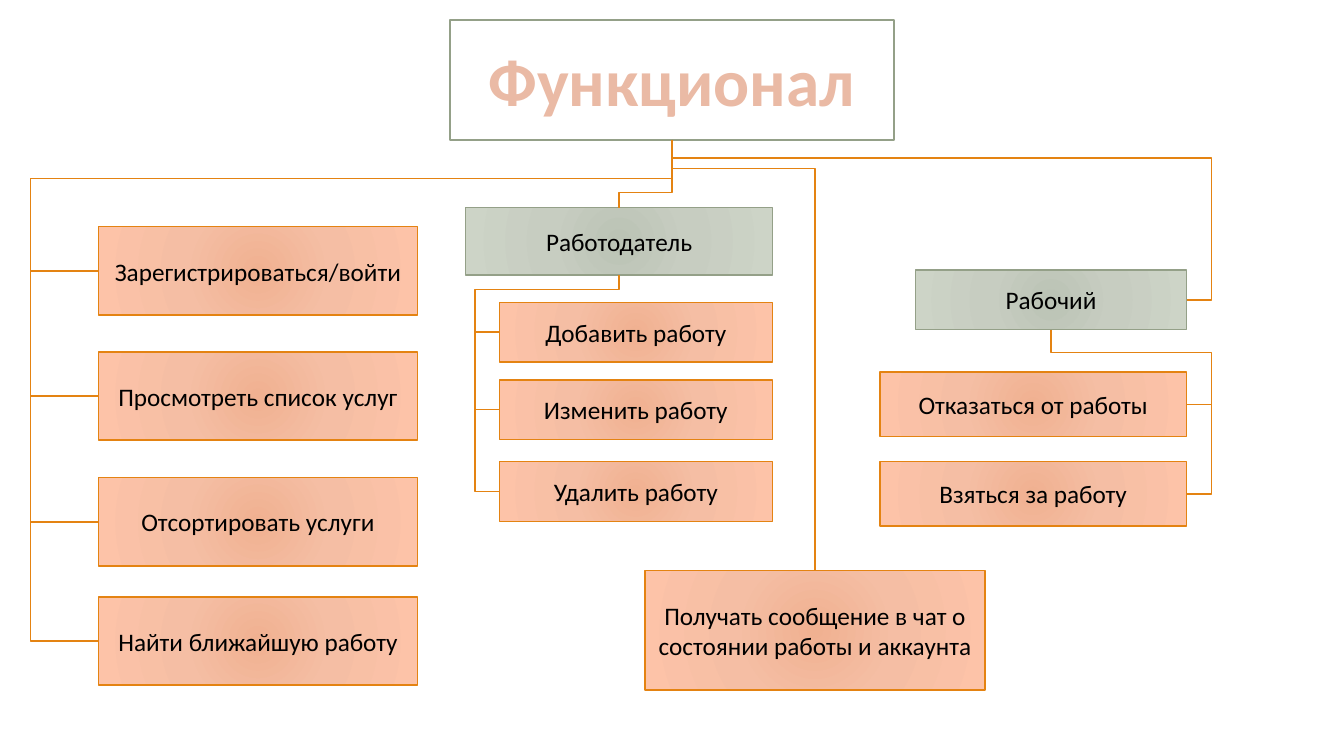
from lxml import etree
from pptx import Presentation
from pptx.dml.color import RGBColor
from pptx.enum.shapes import MSO_CONNECTOR, MSO_SHAPE
from pptx.enum.text import MSO_ANCHOR, PP_ALIGN
from pptx.oxml import parse_xml
from pptx.oxml.ns import nsdecls, qn
from pptx.util import Inches, Pt

WIDE, HIGH = Inches(13.33), Inches(7.5)
COL, ROW = WIDE / 64, HIGH / 36
FONT = "Calibri"
WHITE = RGBColor(0xFF, 0xFF, 0xFF)
BLACK = RGBColor(0x00, 0x00, 0x00)
ORANGE = RGBColor(0xE4, 0x83, 0x12)
GREEN = RGBColor(0x94, 0xA0, 0x88)
SALMON = RGBColor(0xEA, 0xBA, 0xA5)
RUST = RGBColor(0xBD, 0x58, 0x2C)
PEACH = (RGBColor(0xF0, 0xB1, 0x91), RGBColor(0xF5, 0xBE, 0xA4), RGBColor(0xFD, 0xC3, 0xA8))
SAGE = (RGBColor(0xBB, 0xC3, 0xB5), RGBColor(0xC7, 0xCD, 0xC1), RGBColor(0xCD, 0xD4, 0xC7))
TOP, LEFT, BOTTOM, RIGHT = range(4)


def glow(shape, tones):
    stops = "".join(
        f'<a:gs pos="{pos}"><a:srgbClr val="{tone}"/></a:gs>'
        for pos, tone in zip((0, 45000, 100000), tones))
    fill = parse_xml(
        f'<a:gradFill {nsdecls("a")} rotWithShape="1"><a:gsLst>{stops}</a:gsLst>'
        '<a:path path="circle"><a:fillToRect l="50000" t="50000" r="50000" b="50000"/>'
        '</a:path></a:gradFill>')
    shape.element.spPr.find(qn("a:prstGeom")).addnext(fill)


def card(slide, box, text, edge, tones=None, size=18, ink=BLACK):
    x, y, w, h = box
    shape = slide.shapes.add_shape(
        MSO_SHAPE.RECTANGLE, round(x * COL), round(y * ROW), round(w * COL), round(h * ROW))
    shape.shadow.inherit = False
    shape.line.color.rgb = edge
    shape.line.width = Pt(1)
    if tones:
        glow(shape, tones)
    else:
        shape.fill.solid()
        shape.fill.fore_color.rgb = WHITE
    frame = shape.text_frame
    frame.word_wrap = True
    frame.vertical_anchor = MSO_ANCHOR.MIDDLE
    frame.text = text
    para = frame.paragraphs[0]
    para.alignment = PP_ALIGN.CENTER
    font = para.runs[0].font
    font.name, font.size = FONT, Pt(size)
    font.color.rgb = ink
    return shape


def wire(slide, kind, start, end):
    line = slide.shapes.add_connector(kind, *start, *end)
    line.line.color.rgb = ORANGE
    line.line.width = Pt(1)
    etree.SubElement(line.element.spPr, qn("a:effectLst"))
    return line


def port(shape, site):
    x = {LEFT: 0, RIGHT: shape.width}.get(site, shape.width // 2)
    y = {TOP: 0, BOTTOM: shape.height}.get(site, shape.height // 2)
    return shape.left + x, shape.top + y


def stub(slide, shape, site, lane):
    start = port(shape, site)
    line = wire(slide, MSO_CONNECTOR.STRAIGHT, start, (round(lane * COL), start[1]))
    line.begin_connect(shape, site)


def bend(slide, head, goal, site, turn, lane=None):
    start, end = port(head, BOTTOM), port(goal, site)
    line = wire(slide, MSO_CONNECTOR.ELBOW, start, end)
    line.begin_connect(head, BOTTOM)
    line.end_connect(goal, site)
    across, down = end[0] - start[0], end[1] - start[1]
    line.width, line.height = down, abs(across)
    line.left = (start[0] + end[0] - down) // 2
    line.top = (start[1] + end[1] - abs(across)) // 2
    frame = line.element.spPr.find(qn("a:xfrm"))
    frame.set("rot", "16200000" if across > 0 else "5400000")
    frame.set("flipH", "1" if across > 0 else "0")
    frame.set("flipV", "0")
    shares = [(turn * ROW - start[1]) / down]
    if lane is not None:
        shares.append((lane * COL - start[0]) / across)
    shape = line.element.spPr.find(qn("a:prstGeom"))
    shape.set("prst", f"bentConnector{len(shares) + 2}")
    guides = shape.find(qn("a:avLst"))
    for rank, share in enumerate(shares, 1):
        etree.SubElement(guides, qn("a:gd"), name=f"adj{rank}",
                         fmla=f"val {round(share * 100000)}")


def branch(slide, head, box, inset, tall, items, site, turn):
    x, y, w, h = box
    lane = x if site == LEFT else x + w
    left = x + inset if site == LEFT else x
    cards = [card(slide, (left, y + drop, w - inset, tall), text, ORANGE, PEACH)
             for drop, text in items]
    for item in cards[:-1]:
        stub(slide, item, site, lane)
    bend(slide, head, cards[-1], site, turn, lane)


def title(slide, box):
    shape = card(slide, box, "Функционал", GREEN, size=48, ink=SALMON)
    shape.line.width = Pt(1.25)
    run = shape.text_frame.paragraphs[0].runs[0]
    run.font.bold = True
    run.font._element.insert(0, parse_xml(
        f'<a:ln {nsdecls("a")} w="{Pt(1.75)}"><a:solidFill>'
        f'<a:srgbClr val="{RUST}"/></a:solidFill></a:ln>'))
    return shape


def common(slide, root, box):
    items = [(0, "Зарегистрироваться/войти"), (5.96, "Просмотреть список услуг"),
             (11.95, "Отсортировать услуги"), (17.62, "Найти ближайшую работу")]
    branch(slide, root, box, 3.26, 4.2, items, LEFT, 8.5)


def boss(slide, root, box):
    x, y, w, h = box
    head = card(slide, (x, y, w, 3.2), "Работодатель", GREEN, SAGE)
    bend(slide, root, head, TOP, 9.17)
    items = [(0, "Добавить работу"), (3.7, "Изменить работу"), (7.6, "Удалить работу")]
    branch(slide, head, (x + 0.44, y + 4.5, w - 0.44, h - 4.5),
           1.16, 2.84, items, LEFT, y + 3.9)


def worker(slide, root, box):
    x, y, w, h = box
    head = card(slide, (x + 1.7, y, w - 2.9, 2.84), "Рабочий", GREEN, SAGE)
    bend(slide, root, head, RIGHT, 7.54, x + w)
    items = [(0, "Отказаться от работы"), (4.26, "Взяться за работу")]
    branch(slide, head, (x, y + 4.86, w, h - 4.86), 1.2, 3.08, items, RIGHT, y + 3.94)


def notice(slide, root, box):
    text = "Получать сообщение в чат о состоянии работы и аккаунта"
    bend(slide, root, card(slide, box, text, ORANGE, PEACH), TOP, 8.02)


def main():
    deck = Presentation()
    deck.slide_width, deck.slide_height = WIDE, HIGH
    slide = deck.slides.add_slide(deck.slide_layouts[6])
    root = title(slide, (21.42, 0.96, 21.16, 5.7))
    common(slide, root, (1.44, 10.8, 18.43, 21.8))
    boss(slide, root, (22.18, 9.89, 14.6, 14.94))
    worker(slide, root, (41.9, 12.86, 15.8, 12.2))
    notice(slide, root, (30.72, 27.17, 16.18, 5.7))
    deck.save("out.pptx")


if __name__ == "__main__":
    main()
